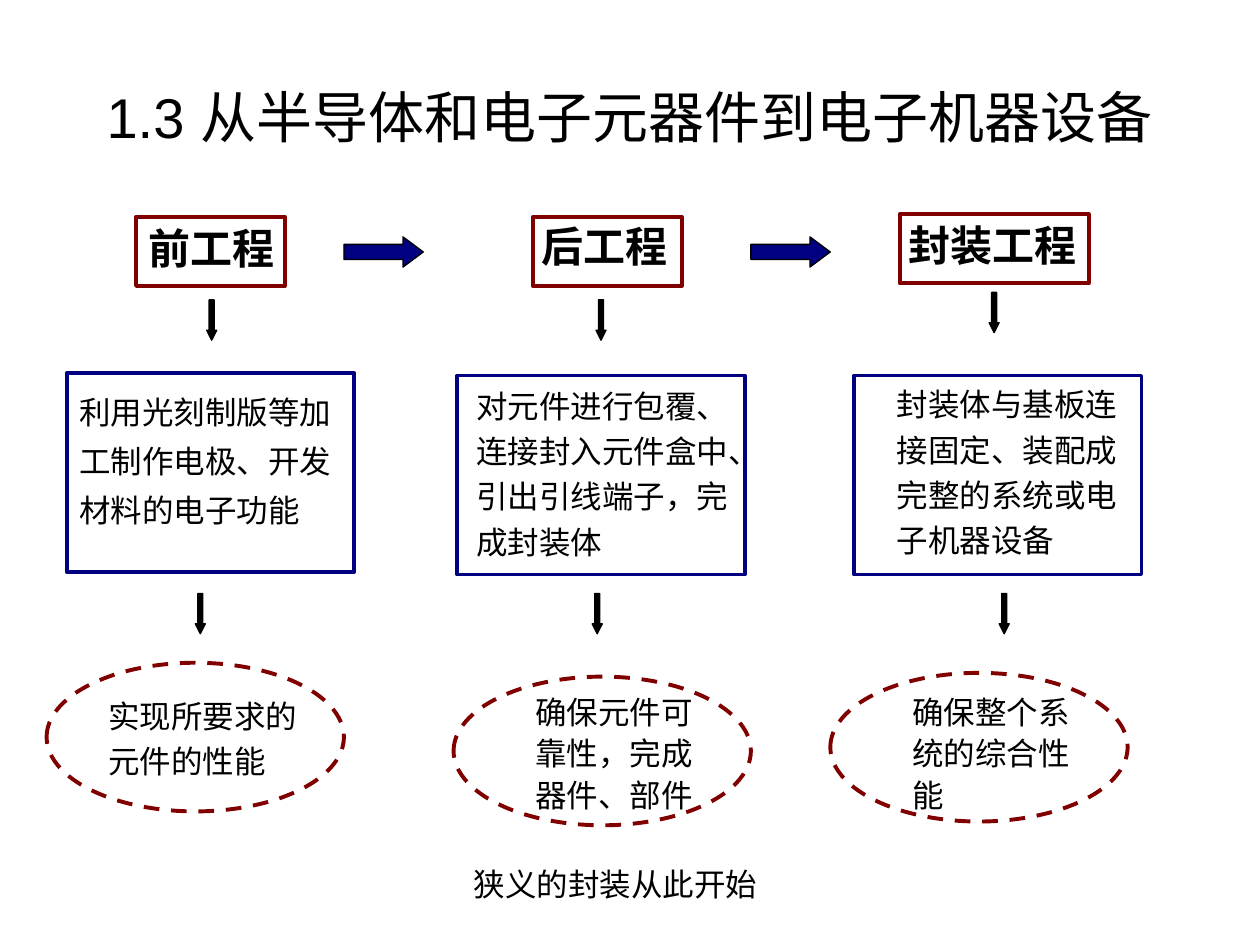
from pptx import Presentation
from pptx.dml.color import RGBColor
from pptx.enum.dml import MSO_LINE
from pptx.enum.shapes import MSO_SHAPE
from pptx.enum.text import MSO_ANCHOR, MSO_AUTO_SIZE, PP_ALIGN
from pptx.util import Inches, Pt

RECTANGLE, OVAL = MSO_SHAPE.RECTANGLE, MSO_SHAPE.OVAL
RIGHT_ARROW, DOWN_ARROW = MSO_SHAPE.RIGHT_ARROW, MSO_SHAPE.DOWN_ARROW
BLACK, NAVY, MAROON = "000000", "000080", "800000"

TITLE = "1.3 从半导体和电子元器件到电子机器设备"
FOOTNOTE = "狭义的封装从此开始"

# Frames and arrows are (left, top); texts are (wording, left, top, width, height, line spacing)
STAGES = [
    {
        "name": ("前工程", 1.08, 1.72, 1.2, 0.5, 1),
        "name_frame": (1.08, 1.72), "name_width": 1.18,
        "process": ("利用光刻制版等加工制作电极、开发材料的电子功能", 0.53, 2.98, 2.23, 1.27, 1.3),
        "process_frame": (0.53, 2.96),
        "result": ("实现所要求的元件的性能", 0.76, 5.42, 1.76, 0.82, 1.2),
        "result_frame": (0.37, 5.26),
        "down_arrows": [(1.64, 2.38), (1.55, 4.71)],
    },
    {
        "name": ("后工程", 4.2, 1.7, 1.2, 0.5, 1),
        "name_frame": (4.23, 1.72), "name_width": 1.18,
        "process": ("对元件进行包覆、连接封入元件盒中、引出引线端子，完成封装体", 3.68, 2.96, 2.23, 1.54, 1.2),
        "process_frame": (3.63, 2.98),
        "result": ("确保元件可靠性，完成器件、部件", 4.15, 5.42, 1.6, 1.09, 1.1),
        "result_frame": (3.6, 5.37),
        "down_arrows": [(4.73, 2.38), (4.7, 4.71)],
    },
    {
        "name": ("封装工程", 7.11, 1.69, 1.53, 0.5, 1),
        "name_frame": (7.14, 1.7), "name_width": 1.5,
        "process": ("封装体与基板连接固定、装配成完整的系统或电子机器设备", 7.02, 2.95, 2.15, 1.54, 1.2),
        "process_frame": (6.78, 2.98),
        "result": ("确保整个系统的综合性能", 7.14, 5.42, 1.65, 1.09, 1.1),
        "result_frame": (6.59, 5.34),
        "down_arrows": [(7.85, 2.32), (7.93, 4.71)],
    },
]
RIGHT_ARROWS = [(2.73, 1.88), (5.96, 1.88)]

NAME_HEIGHT = 0.55
PROCESS_SIZE = (2.28, 1.58)
RESULT_SIZE = (2.36, 1.18)
RIGHT_ARROW_SIZE = (0.63, 0.24)
DOWN_ARROW_SIZE = (0.08, 0.32)

NAME_FONT = {"size": Pt(24), "bold": True}
BODY_FONT = {"size": Pt(18)}
TITLE_FONT = {"size": Pt(32)}


def color(hex_string):
    return RGBColor.from_string(hex_string)


def add_text(slide, wording, left, top, width, height, spacing, font_format, wrap=True):
    box = slide.shapes.add_textbox(*map(Inches, (left, top, width, height)))
    frame = box.text_frame
    frame.word_wrap = wrap
    frame.auto_size = MSO_AUTO_SIZE.SHAPE_TO_FIT_TEXT
    paragraph = frame.paragraphs[0]
    paragraph.line_spacing = spacing
    run = paragraph.add_run()
    run.text = wording
    for attribute, value in {"name": "Arial", **font_format}.items():
        setattr(run.font, attribute, value)
    run.font.color.rgb = color(BLACK)
    return box


def add_shape(slide, kind, position, size, line, line_width, fill=None):
    shape = slide.shapes.add_shape(kind, *map(Inches, position + size))
    shape.shadow.inherit = False
    if fill:
        shape.fill.solid()
        shape.fill.fore_color.rgb = color(fill)
    else:
        shape.fill.background()
    shape.line.color.rgb = color(line)
    shape.line.width = Pt(line_width)
    return shape


def add_arrow(slide, kind, position, size, fill, head_length):
    arrow = add_shape(slide, kind, position, size, BLACK, 0.75, fill)
    arrow.adjustments[0] = 0.5
    arrow.adjustments[1] = head_length


def add_title(slide):
    title = add_text(slide, TITLE, 0.5, 0.3, 9, 1.25, 1, TITLE_FONT)
    title.text_frame.auto_size = MSO_AUTO_SIZE.NONE
    title.text_frame.vertical_anchor = MSO_ANCHOR.MIDDLE
    title.text_frame.paragraphs[0].alignment = PP_ALIGN.CENTER


def add_stage(slide, stage):
    """Add one column: stage name, process and result, joined by down arrows."""
    name_size = (stage["name_width"], NAME_HEIGHT)
    add_shape(slide, RECTANGLE, stage["name_frame"], name_size, MAROON, 2.25)
    add_shape(slide, RECTANGLE, stage["process_frame"], PROCESS_SIZE, NAVY, 2.25)
    oval = add_shape(slide, OVAL, stage["result_frame"], RESULT_SIZE, MAROON, 2.25)
    oval.line.dash_style = MSO_LINE.DASH
    add_text(slide, *stage["name"], NAME_FONT, wrap=False)
    for part in ("process", "result"):
        add_text(slide, *stage[part], BODY_FONT)
    for position in stage["down_arrows"]:
        add_arrow(slide, DOWN_ARROW, position, DOWN_ARROW_SIZE, BLACK, 0.99)


def main():
    presentation = Presentation()
    presentation.slide_width, presentation.slide_height = Inches(10), Inches(7.5)
    slide = presentation.slides.add_slide(presentation.slide_layouts[6])
    add_title(slide)
    for stage in STAGES:
        add_stage(slide, stage)
    for position in RIGHT_ARROWS:
        add_arrow(slide, RIGHT_ARROW, position, RIGHT_ARROW_SIZE, NAVY, 0.67)
    add_text(slide, FOOTNOTE, 3.66, 6.82, 2.52, 0.4, 1, BODY_FONT)
    presentation.save("out.pptx")


if __name__ == "__main__":
    main()
